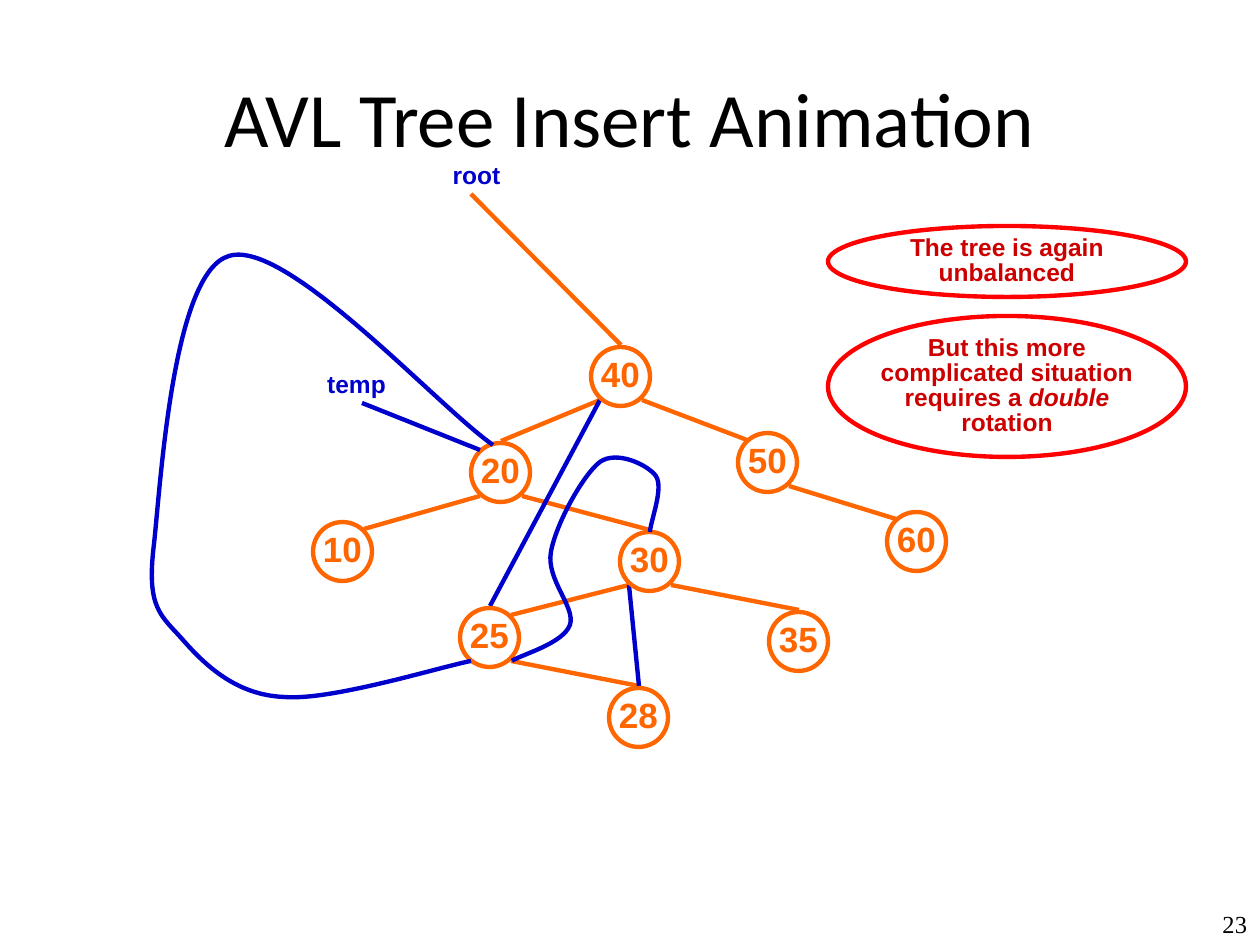
from pptx import Presentation
from pptx import util as u
from pptx.dml.color import RGBColor
from pptx.enum import shapes, text
from pptx.oxml.ns import qn
from lxml import etree

COLOURS = {"tree": "FF6600", "pointer": "0000CC", "ring": "FF0000",
           "note": "CC0000", "black": "000000"}
NODE = 59
ANCHORS = {"top": (30, -2), "upper left": (9, 7), "upper right": (51, 7),
           "lower left": (9, 53), "lower right": (51, 53)}
NODES = {"40": (441, 187), "20": (321, 283), "50": (588, 273),
         "10": (163, 362), "30": (470, 372), "60": (737, 352),
         "25": (310, 448), "35": (619, 452), "28": (459, 528)}
EDGES = [("40", "lower left", "20", "top"),
         ("40", "lower right", "50", "upper left"),
         ("50", "lower right", "60", "upper left"),
         ("20", "lower left", "10", "upper right"),
         ("20", "lower right", "30", "top"),
         ("30", "lower left", "25", "upper right"),
         ("30", "lower right", "35", "top"),
         ("25", "lower right", "28", "top")]
NEW_LINKS = [("40", "lower left", "25", "top"),
             ("30", "lower left", "28", "top")]
# Label, its corner, the line's start, then the node, its anchor and the colour
POINTERS = [("root", (282, 5), (321, 34), "40", "top", "tree"),
            ("temp", (162, 214), (212, 243), "20", "upper left", "pointer")]
# Each curve: a start point, then Bézier segments of two controls and an end
CURVES = [
    [(362, 501),
     (370, 495), (413, 484), (420, 465),
     (426, 447), (396, 420), (401, 392),
     (406, 364), (433, 315), (450, 302),
     (467, 290), (498, 305), (506, 316),
     (514, 328), (501, 360), (500, 372)],
    [(321, 501),
     (290, 507), (181, 541), (134, 537),
     (86, 535), (55, 505), (33, 480),
     (11, 455), (-4, 449), (4, 384),
     (11, 320), (23, 112), (79, 96),
     (136, 78), (287, 246), (343, 285)],
]


def px(length):
    return u.Emu(round(length * 914400 / 126))


def colour(name):
    return RGBColor.from_string(COLOURS[name])


def style_line(line, name):
    line.color.rgb = colour(name)
    line.width = u.Pt(2.5)


def write(shape, spans, size, name, font="Arial", bold=True, spacing=0.85,
          align=text.PP_ALIGN.CENTER, inset=(0, 0), wrap=True):
    """Fill a shape with one paragraph; spans are (wording, italic) pairs."""
    frame = shape.text_frame
    frame.word_wrap = wrap
    frame.margin_left = frame.margin_right = px(inset[0])
    frame.margin_top = frame.margin_bottom = px(inset[1])
    para = frame.paragraphs[0]
    para.alignment = align
    para.line_spacing = spacing
    for wording, italic in spans:
        span = para.add_run()
        span.text = wording
        span.font.name = font
        span.font.size = u.Pt(size)
        span.font.bold = bold
        span.font.italic = italic
        span.font.color.rgb = colour(name)
    return para


def add_ellipse(page, box, name):
    oval = page.shapes.add_shape(shapes.MSO_SHAPE.OVAL, *map(px, box))
    oval.shadow.inherit = False
    oval.fill.background()
    style_line(oval.line, name)
    oval.text_frame.vertical_anchor = text.MSO_ANCHOR.MIDDLE
    return oval


def add_line(page, start, end, name):
    line = page.shapes.add_connector(shapes.MSO_CONNECTOR.STRAIGHT,
                                     *map(px, (*start, *end)))
    style_line(line.line, name)
    etree.SubElement(line._element.spPr, qn("a:effectLst"))


def add_curve(page, points, name):
    """Outline all points, then join each three line ends into one Bézier."""
    corners = [tuple(map(px, point)) for point in points]
    builder = page.shapes.build_freeform(*corners[0])
    builder.add_line_segments(corners[1:], close=False)
    curve = builder.convert_to_shape()
    curve.shadow.inherit = False
    curve.fill.background()
    style_line(curve.line, name)
    lines = list(curve._element.iter(qn("a:lnTo")))
    outline = lines[0].getparent()
    for first in range(0, len(lines), 3):
        bezier = etree.SubElement(outline, qn("a:cubicBezTo"))
        for line in lines[first:first + 3]:
            bezier.append(line[0])
            outline.remove(line)


def add_title(page, box, wording):
    title = page.shapes.title
    title.left, title.top, title.width, title.height = map(px, box)
    title.text_frame.vertical_anchor = text.MSO_ANCHOR.MIDDLE
    write(title, [(wording, False)], 44, "black", "Calibri", False, 1.0)


def add_tree(page, left, top):
    def place(point):
        return left + point[0], top + point[1]

    def anchor(node, side):
        x, y = place(NODES[node])
        return x + ANCHORS[side][0], y + ANCHORS[side][1]

    for links, name in ((EDGES, "tree"), (NEW_LINKS, "pointer")):
        for parent, parent_side, child, child_side in links:
            add_line(page, anchor(parent, parent_side),
                     anchor(child, child_side), name)
    for value, corner in NODES.items():
        node = add_ellipse(page, (*place(corner), NODE, NODE), "tree")
        write(node, [(value, False)], 20, "tree", wrap=False)
    for wording, corner, start, node, side, name in POINTERS:
        add_line(page, place(start), anchor(node, side), name)
        label = page.shapes.add_textbox(*map(px, (*place(corner), 89, 25)))
        para = write(label, [(wording, False)], 14, "pointer")
        para.space_before = u.Pt(8.8)
    for points in CURVES:
        add_curve(page, [place(point) for point in points], "pointer")


def add_note(page, box, spans):
    write(add_ellipse(page, box, "ring"), spans, 14, "note")


def add_page_number(page, box, number):
    label = page.shapes.add_textbox(*map(px, box))
    write(label, [(number, False)], 14, "black", "Times New Roman", False, 0.75,
          text.PP_ALIGN.RIGHT, (13, 6))


def main():
    deck = Presentation()
    deck.slide_width, deck.slide_height = px(1260), px(945)
    page = deck.slides.add_slide(deck.slide_layouts[5])
    add_title(page, (63, 38, 1134, 158), "AVL Tree Insert Animation")
    add_tree(page, 150, 160)
    add_note(page, (828, 226, 358, 71), [("The tree is again unbalanced", False)])
    add_note(page, (828, 316, 358, 141),
             [("But this more complicated situation requires a ", False),
              ("double", True), (" rotation", False)])
    add_page_number(page, (1179, 910, 81, 35), "23")
    deck.save("out.pptx")


if __name__ == "__main__":
    main()
